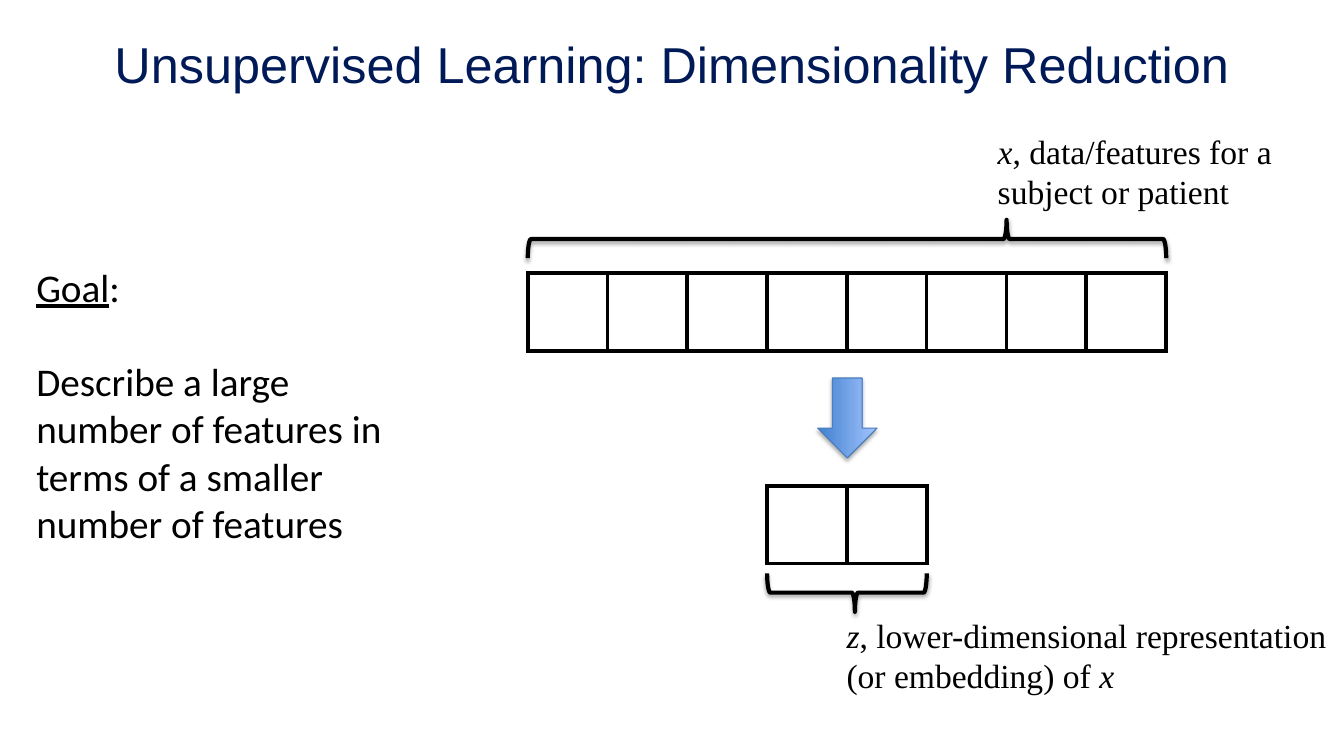
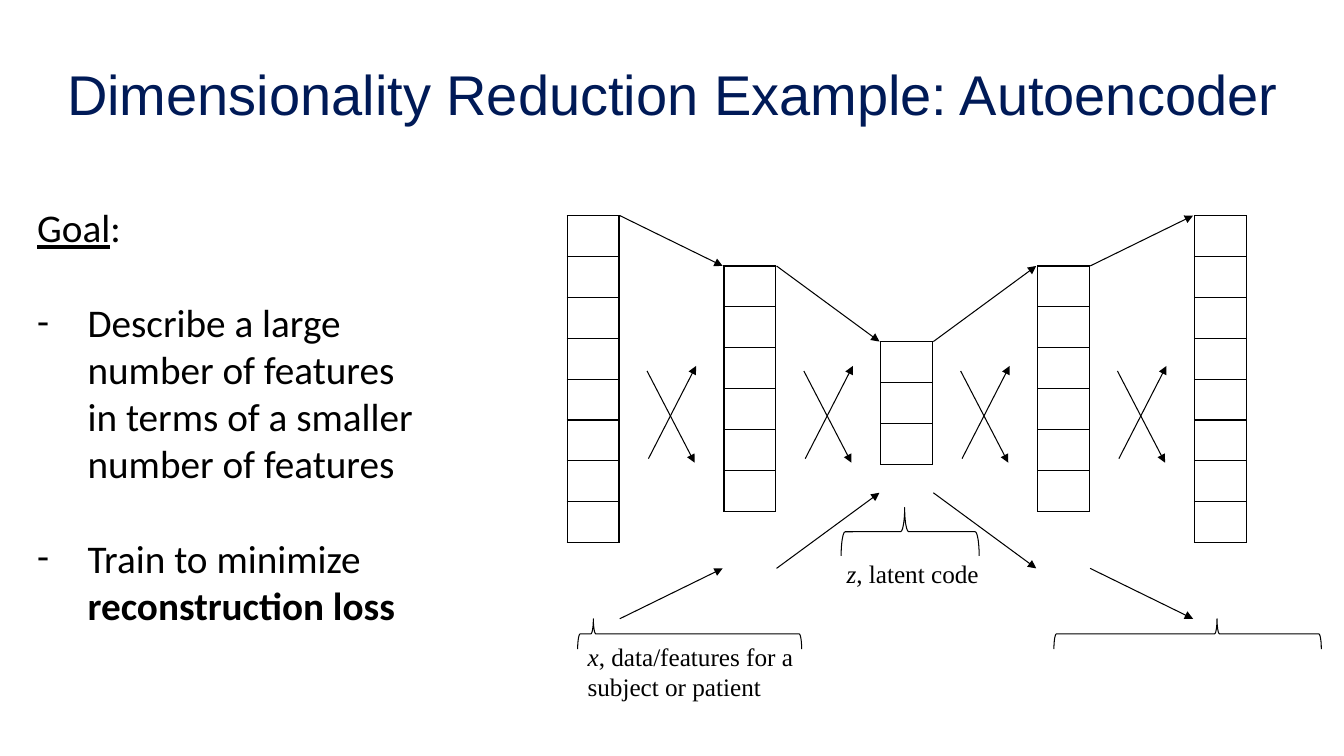
from dataclasses import dataclass

from lxml import etree
from pptx import Presentation
from pptx import util as u
from pptx.dml import color
from pptx.enum import shapes, text
from pptx.oxml import ns


@dataclass(frozen=True)
class Theme:
    navy: str = "001A57"
    ink: str = "000000"
    arrow_dark: str = "3F80CE"
    arrow_light: str = "A4C4FF"
    arrow_edge: str = "4B7EBC"
    title_font: str = "Arial"
    body_font: str = "Calibri"
    label_font: str = "Times New Roman"
    body_size: int = 28
    blank_line: int = 34
    list_indent: int = 36
    thick: float = 3
    thin: float = 0.75


THEME = Theme()
DESCRIBE = "Describe a large number of features in terms of a smaller number of features"
SUBJECT = [("x", "i"), (", data/features for a subject or patient", "")]


def rgb(value):
    return color.RGBColor.from_string(value)


def add_xml(parent, tag, **attributes):
    return etree.SubElement(parent, ns.qn(tag), attributes)


def place(item, box):
    item.left, item.top, item.width, item.height = map(u.Pt, box)


def set_line(item, line_color, weight):
    item.line.color.rgb = rgb(line_color)
    item.line.width = u.Pt(weight)


def add_spans(para, spans, font, size, ink=THEME.ink):
    """Add (words, marks) runs; marks hold any of b, i and u."""
    for words, marks in spans:
        span = para.add_run()
        span.text = words
        span.font.name, span.font.size = font, u.Pt(size)
        span.font.color.rgb = rgb(ink)
        span.font.bold = "b" in marks
        span.font.italic = "i" in marks
        span.font.underline = "u" in marks


def add_page(deck, title, box, size):
    page = deck.slides.add_slide(deck.slide_layouts[1])
    heading = page.shapes.title
    place(heading, box)
    frame = heading.text_frame
    frame.auto_size = text.MSO_AUTO_SIZE.NONE
    frame.vertical_anchor = text.MSO_ANCHOR.MIDDLE
    para = frame.paragraphs[0]
    para.alignment = text.PP_ALIGN.CENTER
    add_spans(para, [(title, "")], THEME.title_font, size, THEME.navy)
    return page


def add_goal(page, box, items, dashed=False):
    body = page.placeholders[1]
    place(body, box)
    frame = body.text_frame
    frame.auto_size = text.MSO_AUTO_SIZE.NONE
    goal = [("Goal", "u"), (":", "")]
    for index, spans in enumerate([goal, *items]):
        para = frame.add_paragraph() if index else frame.paragraphs[0]
        para.space_before = u.Pt(THEME.blank_line if index else 0)
        add_spans(para, spans, THEME.body_font, THEME.body_size)
        bulleted = dashed and index > 0
        indent = u.Pt(THEME.list_indent if bulleted else 0)
        props = para._p.get_or_add_pPr()
        props.set("marL", str(indent))
        props.set("indent", str(-indent))
        if bulleted:
            add_xml(props, "a:buFont", typeface=THEME.body_font)
            add_xml(props, "a:buChar", char="-")
        else:
            add_xml(props, "a:buNone")


def add_label(page, box, spans, size):
    label = page.shapes.add_textbox(*map(u.Pt, box))
    label.text_frame.word_wrap = True
    add_spans(label.text_frame.paragraphs[0], spans, THEME.label_font, size)


def add_cells(page, left, top, size, columns, rows, weight):
    """Draw an empty grid of cells, each of the given (width, height)."""
    width, height = size
    grid = page.shapes.add_table(rows, columns, u.Pt(left), u.Pt(top),
                                 u.Pt(width * columns), u.Pt(height * rows)).table
    grid.first_row = grid.horz_banding = False
    for column in grid.columns:
        column.width = u.Pt(width)
    for row in grid.rows:
        row.height = u.Pt(height)
    for cell in grid.iter_cells():
        props = cell._tc.get_or_add_tcPr()
        for side in ("a:lnL", "a:lnR", "a:lnT", "a:lnB"):
            border = add_xml(props, side, w=str(u.Pt(weight)))
            add_xml(add_xml(border, "a:solidFill"), "a:srgbClr", val=THEME.ink)
        cell.fill.background()


def add_shadow(shape):
    effects = shape.element.spPr.find(ns.qn("a:effectLst"))
    shadow = add_xml(effects, "a:outerShdw", blurRad=str(u.Pt(3.1)),
                     dist=str(u.Pt(1.8)), dir="5400000", rotWithShape="0")
    add_xml(add_xml(shadow, "a:srgbClr", val=THEME.ink), "a:alpha", val="35000")


def add_brace(page, box, tip, weight, points_up=True):
    """Lay a brace along box; tip is its point's place from the left, 0 to 1."""
    left, top, width, height = box
    shift = (width - height) / 2
    upright = (left + shift, top - shift, height, width)
    brace = page.shapes.add_shape(shapes.MSO_SHAPE.LEFT_BRACE, *map(u.Pt, upright))
    brace.rotation = 90 if points_up else 270
    brace.adjustments[1] = 1 - tip if points_up else tip
    brace.shadow.inherit = False
    brace.fill.background()
    set_line(brace, THEME.ink, weight)
    return brace


def add_block_arrow(page, box):
    arrow = page.shapes.add_shape(shapes.MSO_SHAPE.DOWN_ARROW, *map(u.Pt, box))
    arrow.shadow.inherit = False
    arrow.fill.gradient()
    arrow.fill.gradient_angle = 0
    for stop, shade in zip(arrow.fill.gradient_stops,
                           (THEME.arrow_dark, THEME.arrow_light)):
        stop.color.rgb = rgb(shade)
    set_line(arrow, THEME.arrow_edge, THEME.thin)
    add_shadow(arrow)


def add_arrow(page, start, end):
    arrow = page.shapes.add_connector(shapes.MSO_CONNECTOR.STRAIGHT,
                                      *map(u.Pt, (*start, *end)))
    set_line(arrow, THEME.ink, THEME.thin)
    props = arrow.element.spPr
    add_xml(props.find(ns.qn("a:ln")), "a:tailEnd", type="triangle")
    add_xml(props, "a:effectLst")


def draw_reduction(page, left, top):
    """Eight features above, two features below, with an arrow between."""
    cell = width, _ = 57, 55.5
    code_left = left + 3 * width
    add_cells(page, left, top + 38, cell, 8, 1, THEME.thick)
    add_cells(page, code_left, top + 190, cell, 2, 1, THEME.thick)
    add_shadow(add_brace(page, (left, top, 8 * width, 27.4), 0.75, THEME.thick))
    add_shadow(add_brace(page, (code_left, top + 252.6, 2 * width, 27.4), 0.55,
                         THEME.thick, points_up=False))
    add_block_arrow(page, (left + 4 * width - 21, top + 113, 42.5, 57))
    add_label(page, (left + 328.6, top - 67, 235.4, 65.5), SUBJECT, 24)
    add_label(page, (left + 220.6, top + 278.6, 362.2, 65.5),
              [("z", "i"), (", lower-dimensional representation (or embedding) of ", ""),
               ("x", "i")], 24)


def draw_autoencoder(page, left, middle):
    """Five layers centred on middle, linked by arrows, with braces below."""
    layers = (8, 6, 3, 6, 8)
    width, pitch, half_row = 37, 112, 18
    for index, count in enumerate(layers):
        add_cells(page, left + index * pitch, middle - half_row * count,
                  (width, 29.2), 1, count, 1)
    for index, (count, following) in enumerate(zip(layers, layers[1:])):
        start = left + index * pitch + width + 0.5
        end = left + (index + 1) * pitch - 1
        for side in (-half_row, half_row):
            add_arrow(page, (start, middle + side * count),
                      (end, middle + side * following))
        cross = start + 19.5
        add_arrow(page, (cross + 1, middle + 29.6), (cross + 35, middle - 36.6))
        add_arrow(page, (cross, middle - 33), (cross + 34, middle + 32.5))
    braces = (((7.4, 144, 160, 21.6), 0.07),
              ((347.6, 144, 191, 21.6), 0.61),
              ((195.6, 64.5, 98.6, 34.6), 0.46))
    for (x, y, *size), tip in braces:
        add_brace(page, (left + x, middle + y, *size), tip, THEME.thin)
    add_label(page, (left + 7.4, middle + 156.3, 167, 51), SUBJECT, 18)
    add_label(page, (left + 192.4, middle + 97.3, 167, 28.8),
              [("z", "i"), (", latent code", "")], 18)


def main():
    deck = Presentation()
    deck.slide_width, deck.slide_height = u.Pt(960), u.Pt(540)

    page = add_page(deck, "Unsupervised Learning: Dimensionality Reduction",
                    (48, 0, 864, 90), 36)
    add_goal(page, (18.7, 184.3, 261.4, 211), [[(DESCRIBE, "")]])
    draw_reduction(page, 377, 157)

    page = add_page(deck, "Dimensionality Reduction Example: Autoencoder",
                    (0, 21.6, 960, 90), 40)
    add_goal(page, (19.4, 141.8, 292.3, 312.5),
             [[(DESCRIBE, "")],
              [("Train to minimize ", ""), ("reconstruction loss", "b")]], dashed=True)
    draw_autoencoder(page, 405.2, 298)

    deck.save("out.pptx")


if __name__ == "__main__":
    main()
